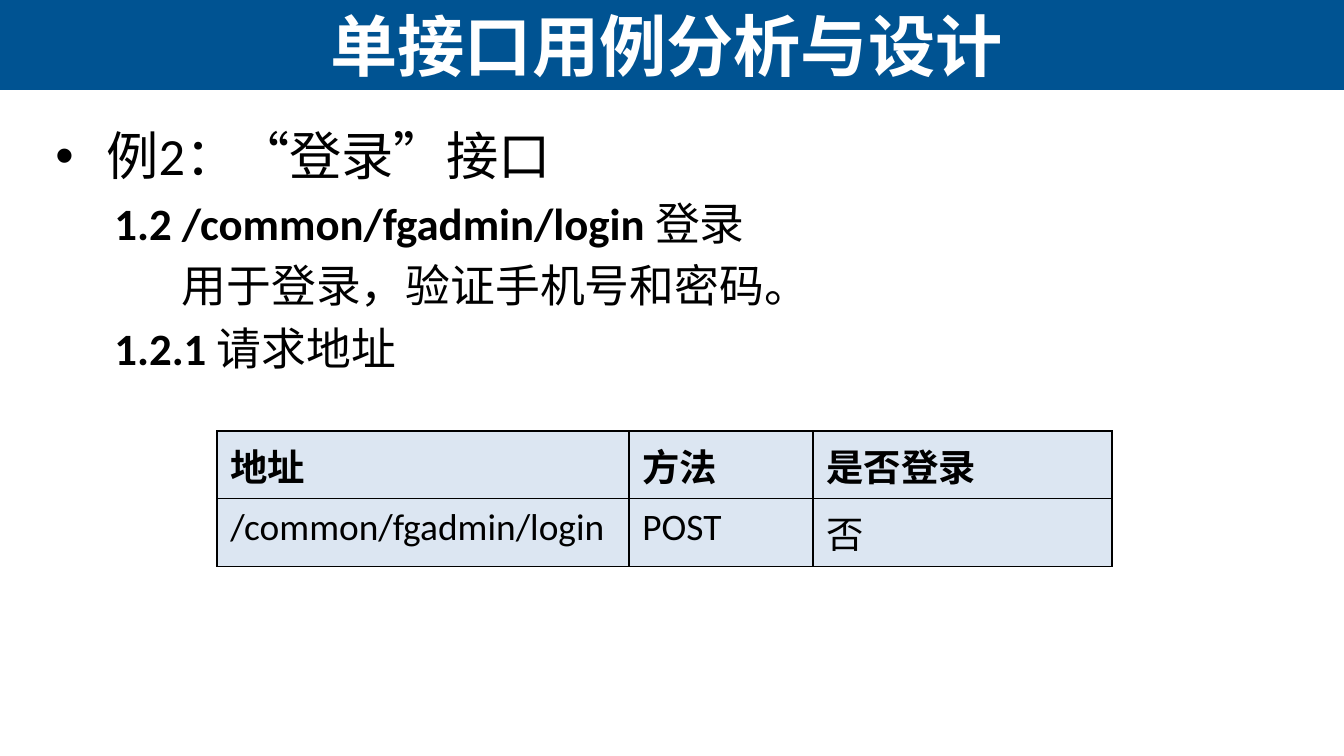
from lxml.etree import SubElement
from pptx import Presentation
from pptx.dml.color import RGBColor
from pptx.enum.shapes import MSO_SHAPE as Shape
from pptx.enum.text import MSO_ANCHOR as Anchor, MSO_AUTO_SIZE as AutoSize, PP_ALIGN as Align
from pptx.oxml.ns import qn
from pptx.util import Pt

EMU_PER_PX = 914400 / 134.4
BLACK, WHITE, BLUE, PALE = "000000", "FFFFFF", "005392", "DCE6F2"

# Each line is a level and its (text, bold) runs.
LINES = [
    (0, [("例2：“登录”接口", False)]),
    (1, [("1.2 /common/fgadmin/login ", True), ("登录", False)]),
    (1, [("\t用于登录，验证手机号和密码。", False)]),
    (1, [("1.2.1 ", True), ("请求地址", False)]),
]
ROWS = [
    ["地址", "方法", "是否登录"],
    ["/common/fgadmin/login", "POST", "否"],
]
COLUMN_WIDTHS = [412, 184, 299]


def px(length):
    return round(length * EMU_PER_PX)


def color(value):
    return RGBColor.from_string(value)


def place(shape, box):
    shape.left, shape.top, shape.width, shape.height = map(px, box)


def add_span(para, text, size, font, ink, bold):
    span = para.add_run()
    span.text = text
    span.font.size = Pt(size)
    span.font.name = font
    span.font.bold = bold
    span.font.color.rgb = color(ink)


def add_header(page, box):
    band = page.shapes.add_shape(Shape.RECTANGLE, *map(px, box))
    band.shadow.inherit = False
    band.fill.solid()
    band.fill.fore_color.rgb = color(BLUE)
    band.line.fill.background()
    page.shapes._spTree.insert(2, band._element)  # behind the placeholders

    left, top, width, height = box
    title = page.shapes.title
    place(title, (left + 3, top, width - 17, height))
    frame = title.text_frame
    frame.auto_size = AutoSize.NONE
    frame.vertical_anchor = Anchor.MIDDLE
    para = frame.paragraphs[0]
    para.alignment = Align.CENTER
    add_span(para, "单接口用例分析与设计", 36, "Arial", WHITE, True)


def add_body(page, box):
    body = page.placeholders[1]
    place(body, box)
    frame = body.text_frame
    frame.auto_size = AutoSize.NONE
    for index, (level, spans) in enumerate(LINES):
        para = frame.add_paragraph() if index else frame.paragraphs[0]
        para.level = level
        props = para._p.get_or_add_pPr()
        props.set("marL", str(px(59 if level else 51)))
        props.set("indent", str(px(0 if level else -51)))
        if level:
            SubElement(props, qn("a:buNone"))
        for text, bold in spans:
            add_span(para, text, 24 if level else 28, "Calibri", BLACK, bold)


def outline_cell(cell):
    props = cell._tc.get_or_add_tcPr()
    for index, side in enumerate(("lnL", "lnR", "lnT", "lnB")):
        line = props.makeelement(qn(f"a:{side}"), {"w": str(Pt(1))})
        fill = SubElement(line, qn("a:solidFill"))
        SubElement(fill, qn("a:srgbClr"), val=BLACK)
        props.insert(index, line)


def add_address_table(page, box):
    table = page.shapes.add_table(len(ROWS), len(COLUMN_WIDTHS), *map(px, box)).table
    for column, width in zip(table.columns, COLUMN_WIDTHS):
        column.width = px(width)
    for row_index, texts in enumerate(ROWS):
        for column_index, text in enumerate(texts):
            cell = table.cell(row_index, column_index)
            cell.fill.solid()
            cell.fill.fore_color.rgb = color(PALE)
            outline_cell(cell)
            para = cell.text_frame.paragraphs[0]
            add_span(para, text, 20, "Calibri", BLACK, row_index == 0)


def main():
    deck = Presentation()
    deck.slide_width, deck.slide_height = px(1344), px(756)
    page = deck.slides.add_slide(deck.slide_layouts[1])
    add_header(page, (0, 0, 1344, 90))
    add_body(page, (42, 117, 1275, 499))
    add_address_table(page, (217, 431, sum(COLUMN_WIDTHS), 134))
    deck.save("out.pptx")


if __name__ == "__main__":
    main()
